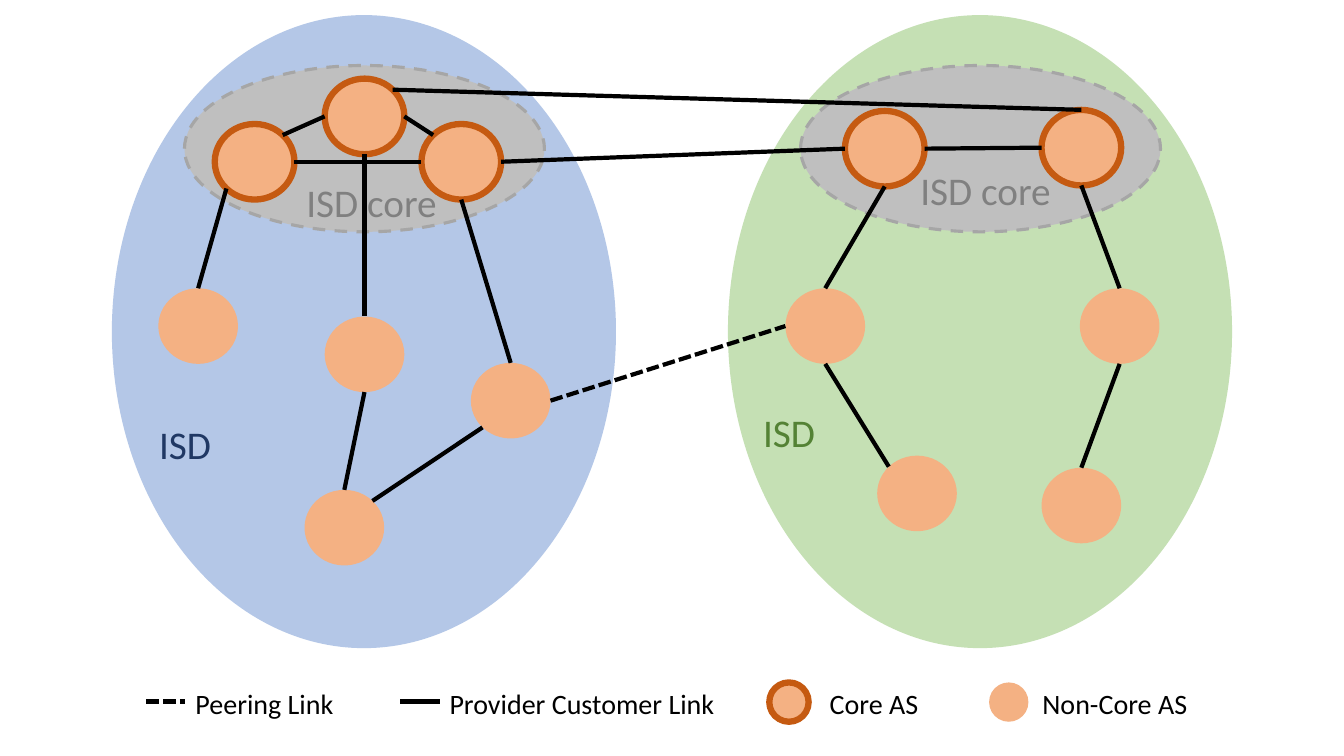
"""Build a slide of two isolation domains (ISDs), their ASes and the links between them."""
import math

import pptx
import pptx.dml.color
import pptx.enum.dml
import pptx.enum.shapes
import pptx.oxml.ns
import pptx.util

RGBColor = pptx.dml.color.RGBColor
BLUE, NAVY = RGBColor(0xB4, 0xC7, 0xE7), RGBColor(0x20, 0x38, 0x64)
GREEN, FOREST = RGBColor(0xC5, 0xE0, 0xB4), RGBColor(0x54, 0x82, 0x35)
SILVER, MID_GRAY, GRAY = RGBColor(0xBF, 0xBF, 0xBF), RGBColor(0xA6, 0xA6, 0xA6), RGBColor(0x80, 0x80, 0x80)
PEACH, RUST = RGBColor(0xF4, 0xB1, 0x83), RGBColor(0xC5, 0x5A, 0x11)
BLACK = RGBColor(0, 0, 0)
DASH = pptx.enum.dml.MSO_LINE.DASH
PEERING = pptx.enum.dml.MSO_LINE.SQUARE_DOT

COLUMNS, ROWS = 13.33, 7.5
CELL = pptx.util.Inches(1)
NODE_WIDTH, NODE_HEIGHT = 0.79, 0.75
TOP, TOP_LEFT, LEFT, BOTTOM_LEFT, BOTTOM, BOTTOM_RIGHT, RIGHT, TOP_RIGHT = range(8)


def write_text(frame, text, size=20, color=BLACK, font="Calibri", wrap=False):
    frame.word_wrap = wrap
    span = frame.paragraphs[0].add_run()
    span.text = text
    span.font.name = font
    span.font.size = pptx.util.Pt(size)
    span.font.color.rgb = color


class Diagram:
    def __init__(self, page):
        self.page = page

    def grid(self, *cells):
        return [round(cell * CELL) for cell in cells]

    def ellipse(self, left, top, width, height, fill, border=None, weight=4.5, dash=None):
        shape = self.page.shapes.add_shape(
            pptx.enum.shapes.MSO_SHAPE.OVAL, *self.grid(left, top, width, height))
        shape.shadow.inherit = False
        shape.fill.solid()
        shape.fill.fore_color.rgb = fill
        if border is None:
            shape.line.fill.background()
        else:
            shape.line.color.rgb = border
            shape.line.width = pptx.util.Pt(weight)
            shape.line.dash_style = dash

    def system(self, left, top, core, width=NODE_WIDTH, height=NODE_HEIGHT):
        self.ellipse(left, top, width, height, PEACH, RUST if core else None)

    def line(self, start, end, dash=None):
        line = self.page.shapes.add_connector(
            pptx.enum.shapes.MSO_CONNECTOR.STRAIGHT, *self.grid(*start, *end))
        line.line.color.rgb = BLACK
        line.line.width = pptx.util.Pt(3)
        line.line.dash_style = dash
        properties = line._element.spPr
        properties.append(properties.makeelement(pptx.oxml.ns.qn("a:effectLst"), {}))

    def label(self, left, top, width, height, text, **style):
        box = self.page.shapes.add_textbox(*self.grid(left, top, width, height))
        write_text(box.text_frame, text, **style)


def rim(name, site):
    left, top, core = SYSTEMS[name]
    angle = math.radians(90 + 45 * site)
    return (left + NODE_WIDTH / 2 * (1 + math.cos(angle)),
            top + NODE_HEIGHT / 2 * (1 - math.sin(angle)))


SYSTEMS = {
    "blue core left": (2.13, 1.23, True),
    "blue core top": (3.22, 0.78, True),
    "blue core right": (4.18, 1.23, True),
    "blue left": (1.57, 2.86, False),
    "blue middle": (3.22, 3.14, False),
    "blue right": (4.67, 3.6, False),
    "blue bottom": (3.02, 4.86, False),
    "green core left": (8.38, 1.1, True),
    "green core right": (10.33, 1.09, True),
    "green left": (7.79, 2.86, False),
    "green right": (10.71, 2.86, False),
    "green bottom left": (8.7, 4.52, False),
    "green bottom right": (10.33, 4.64, False),
}
INNER_LINKS = [
    ("blue core left", BOTTOM_LEFT, "blue left", TOP),
    ("blue core top", BOTTOM, "blue middle", TOP),
    ("blue middle", BOTTOM, "blue bottom", TOP),
    ("blue core right", BOTTOM, "blue right", TOP),
    ("blue bottom", TOP_RIGHT, "blue right", BOTTOM_LEFT),
    ("blue core left", TOP_RIGHT, "blue core top", LEFT),
    ("blue core top", RIGHT, "blue core right", TOP_LEFT),
    ("blue core left", RIGHT, "blue core right", LEFT),
    ("green core left", BOTTOM, "green left", TOP),
    ("green left", BOTTOM, "green bottom left", TOP_LEFT),
    ("green core right", BOTTOM, "green right", TOP),
    ("green right", BOTTOM, "green bottom right", TOP),
    ("green core left", RIGHT, "green core right", LEFT),
]
OUTER_LINKS = [
    ("blue core top", TOP_RIGHT, "green core right", TOP, None),
    ("blue core right", RIGHT, "green core left", LEFT, None),
    ("blue right", RIGHT, "green left", LEFT, PEERING),
]

deck = pptx.Presentation()
deck.slide_width = round(COLUMNS * CELL)
deck.slide_height = round(ROWS * CELL)
diagram = Diagram(deck.slides.add_slide(deck.slide_layouts[6]))

for left, fill in ((1.11, BLUE), (7.22, GREEN)):
    diagram.ellipse(left, 0.15, 5, 6.28, fill)
    diagram.ellipse(left + 0.72, 0.65, 3.57, 1.65, SILVER, MID_GRAY, 2.25, DASH)
for left, top, core in SYSTEMS.values():
    diagram.system(left, top, core)
for start, start_site, end, end_site in INNER_LINKS:
    diagram.line(rim(start, start_site), rim(end, end_site))
for left, top, color in ((1.48, 4.12, NAVY), (7.47, 4, FOREST)):
    diagram.label(left, top, 0.88, 0.57, "ISD", size=28, color=color, wrap=True)
for left, top in ((2.94, 1.72), (9.03, 1.6)):
    diagram.label(left, top, 1.62, 0.57, "ISD core", size=28, color=GRAY, wrap=True)
for start, start_site, end, end_site, dash in OUTER_LINKS:
    diagram.line(rim(start, start_site), rim(end, end_site), dash)

for left, dash in ((1.45, PEERING), (3.97, None)):
    diagram.line((left, 6.96), (left + 0.39, 6.96), dash)
for left, core in ((7.63, True), (9.81, False)):
    diagram.system(left, 6.77, core, 0.39, 0.39)
for left, width, text in ((1.84, 1.58, "Peering Link"), (4.36, 2.85, "Provider Customer Link"),
                          (8.13, 1.09, "Core AS"), (10.24, 1.65, "Non-Core AS")):
    diagram.label(left, 6.76, width, 0.44, text)

deck.save("out.pptx")
